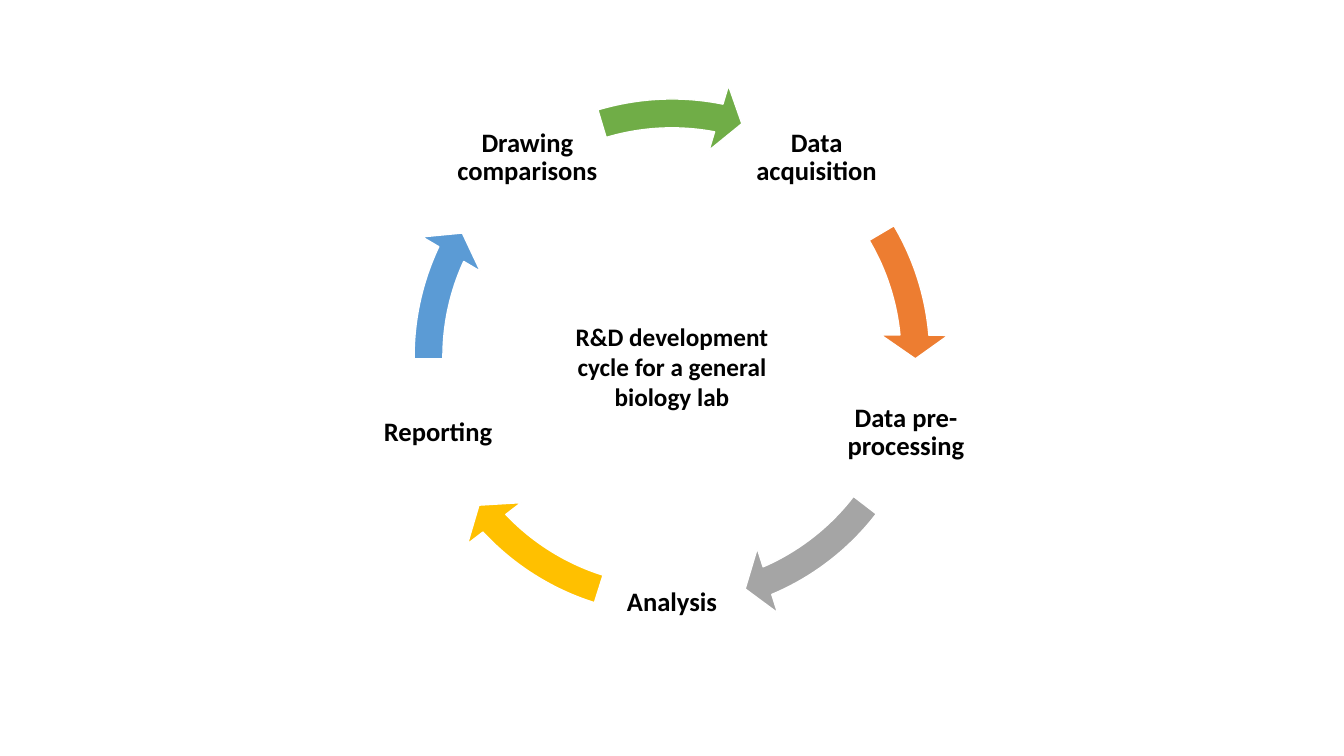
from math import cos, radians, sin

from pptx import Presentation
from pptx.dml.color import RGBColor
from pptx.enum.shapes import MSO_SHAPE
from pptx.enum.text import MSO_ANCHOR, PP_ALIGN
from pptx.util import Inches, Pt

CIRCULAR_ARROW = MSO_SHAPE.CIRCULAR_ARROW
MIDDLE = MSO_ANCHOR.MIDDLE
TOP = MSO_ANCHOR.TOP
CENTER = PP_ALIGN.CENTER

BLACK = RGBColor(0x00, 0x00, 0x00)
WHITE = RGBColor(0xFF, 0xFF, 0xFF)
ORANGE = RGBColor(0xED, 0x7D, 0x31)
GRAY = RGBColor(0xA5, 0xA5, 0xA5)
GOLD = RGBColor(0xFF, 0xC0, 0x00)
BLUE = RGBColor(0x5B, 0x9B, 0xD5)
GREEN = RGBColor(0x70, 0xAD, 0x47)

TITLE = "R&D development cycle for a general biology lab"
STAGES = [
    ("Data acquisition", ORANGE, 329.44, 354.88),
    ("Data pre-processing", GRAY, 37.56, 66.9),
    ("Analysis", GOLD, 107.5, 136.84),
    ("Reporting", BLUE, 179.52, 204.96),
    ("Drawing comparisons", GREEN, 253.31, 281.09),
]

SLIDE_WIDTH, SLIDE_HEIGHT = 13.33, 7.5
CENTER_X, CENTER_Y = SLIDE_WIDTH / 2, 3.54
LABEL_RADIUS = 2.44
LABEL_SIZE = 1.47
RING_SIZE = 5.5
STEP = 360 / len(STAGES)
ADJUSTMENT_PER_DEGREE = 0.6
ARROW_THICKNESS, ARROW_HEAD_WIDTH, ARROW_HEAD_DEGREES = 0.052, 0.061, 5.6


def centered_box(x, y, width, height):
    return [Inches(value) for value in (x - width / 2, y - height / 2, width, height)]


def add_label(slide, text, box, size, inset_x, inset_y, anchor):
    text_frame = slide.shapes.add_textbox(*box).text_frame
    text_frame.word_wrap = True
    text_frame.vertical_anchor = anchor
    text_frame.margin_left = text_frame.margin_right = Inches(inset_x)
    text_frame.margin_top = text_frame.margin_bottom = Inches(inset_y)
    text_frame.text = text
    paragraph = text_frame.paragraphs[0]
    paragraph.alignment = CENTER
    font = paragraph.runs[0].font
    font.name = "Calibri"
    font.size = Pt(size)
    font.bold = True
    font.color.rgb = BLACK
    return paragraph


def add_arrow(slide, color, start, end):
    arrow = slide.shapes.add_shape(
        CIRCULAR_ARROW, *centered_box(CENTER_X, CENTER_Y, RING_SIZE, RING_SIZE))
    arrow.shadow.inherit = False
    arrow.fill.solid()
    arrow.fill.fore_color.rgb = color
    arrow.line.color.rgb = WHITE
    arrow.line.width = Pt(1)
    arrow.adjustments[0] = ARROW_THICKNESS
    for index, degrees in enumerate((ARROW_HEAD_DEGREES, end, start), 1):
        arrow.adjustments[index] = degrees * ADJUSTMENT_PER_DEGREE
    arrow.adjustments[4] = ARROW_HEAD_WIDTH


def main():
    presentation = Presentation()
    presentation.slide_width = Inches(SLIDE_WIDTH)
    presentation.slide_height = Inches(SLIDE_HEIGHT)
    slide = presentation.slides.add_slide(presentation.slide_layouts[6])

    for index, (name, color, start, end) in enumerate(STAGES):
        angle = radians((index + 0.5) * STEP)
        x = CENTER_X + LABEL_RADIUS * sin(angle)
        y = CENTER_Y - LABEL_RADIUS * cos(angle)
        box = centered_box(x, y, LABEL_SIZE, LABEL_SIZE)
        paragraph = add_label(slide, name, box, 19, 0.03, 0.03, MIDDLE)
        paragraph.line_spacing = 0.9
        add_arrow(slide, color, start, end)

    title_box = centered_box(CENTER_X, 3.64, 2.54, 1.01)
    add_label(slide, TITLE, title_box, 18, 0.1, 0.05, TOP)
    presentation.save("out.pptx")


if __name__ == "__main__":
    main()
